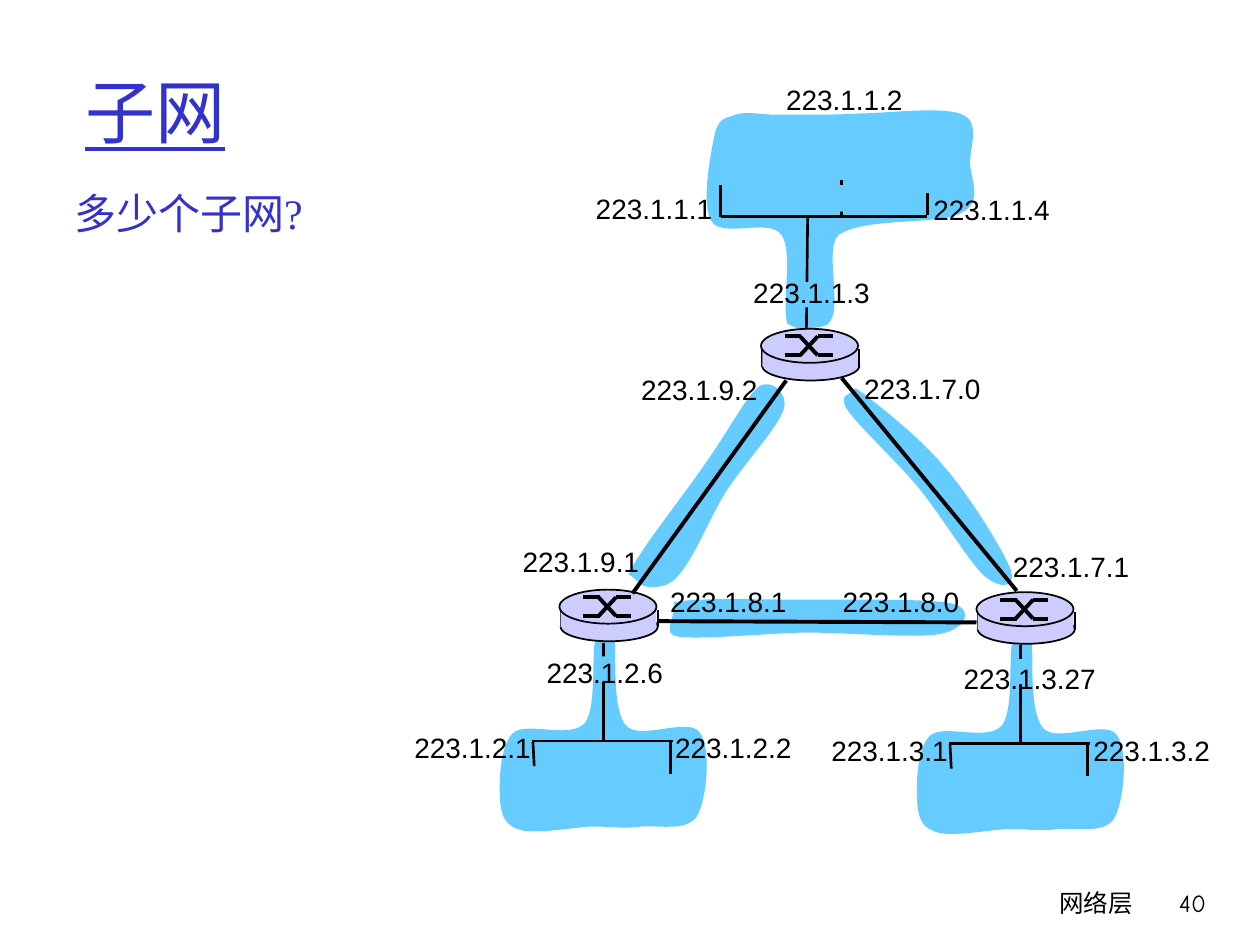
from lxml import etree
from pptx import Presentation
from pptx.dml.color import RGBColor
from pptx.enum.shapes import MSO_CONNECTOR, MSO_SHAPE
from pptx.enum.text import MSO_ANCHOR, MSO_AUTO_SIZE, PP_ALIGN
from pptx.oxml.ns import qn
from pptx.util import Inches, Pt

BLACK = RGBColor(0x00, 0x00, 0x00)
SKY = RGBColor(0x66, 0xCC, 0xFF)
LILAC = RGBColor(0xCC, 0xCC, 0xFF)
INDIGO = RGBColor(0x33, 0x33, 0xCC)
STRAIGHT = MSO_CONNECTOR.STRAIGHT
RECT, OVAL = MSO_SHAPE.RECTANGLE, MSO_SHAPE.OVAL
LEFT, RIGHT = PP_ALIGN.LEFT, PP_ALIGN.RIGHT
TOP, MIDDLE = MSO_ANCHOR.TOP, MSO_ANCHOR.MIDDLE
FIT, NO_FIT = MSO_AUTO_SIZE.SHAPE_TO_FIT_TEXT, MSO_AUTO_SIZE.NONE

ADDRESSES = [
    ("223.1.1.1", 4.63, 1.47), ("223.1.1.2", 6.14, 0.61),
    ("223.1.1.3", 5.88, 2.14), ("223.1.1.4", 7.31, 1.48),
    ("223.1.2.1", 3.19, 5.75), ("223.1.2.2", 5.26, 5.75),
    ("223.1.2.6", 4.24, 5.15), ("223.1.3.1", 6.5, 5.77),
    ("223.1.3.2", 8.58, 5.77), ("223.1.3.27", 7.55, 5.2),
    ("223.1.7.0", 6.76, 2.9), ("223.1.7.1", 7.94, 4.31),
    ("223.1.8.0", 6.59, 4.59), ("223.1.8.1", 5.22, 4.59),
    ("223.1.9.1", 4.05, 4.27), ("223.1.9.2", 4.99, 2.91),
]

LINK_SUBNETS = [
    [(6.7, 3.2), (6.71, 3.29), (7.09, 3.63), (7.28, 3.86),
     (7.47, 4.09), (7.69, 4.46), (7.81, 4.57), (7.94, 4.68), (8.07, 4.67), (8.02, 4.52),
     (7.97, 4.38), (7.7, 3.94), (7.49, 3.7), (7.29, 3.46), (6.92, 3.17), (6.79, 3.08),
     (6.73, 3.16), (6.69, 3.11), (6.7, 3.2)],
    [(5.34, 5.04), (5.42, 5.09), (6.03, 5.03), (6.38, 5.02),
     (6.74, 5.02), (7.27, 5.07), (7.47, 5.03), (7.66, 4.99), (7.74, 4.84), (7.56, 4.79),
     (7.39, 4.75), (6.78, 4.76), (6.41, 4.76), (6.04, 4.76), (5.53, 4.74), (5.35, 4.78),
     (5.37, 4.88), (5.27, 4.99), (5.34, 5.04)],
    [(5.26, 4.65), (5.46, 4.61), (5.61, 4.12), (5.79, 3.86),
     (5.95, 3.63), (6.18, 3.38), (6.22, 3.25), (6.26, 3.12), (6.12, 3), (6.02, 3.07),
     (5.92, 3.15), (5.77, 3.44), (5.59, 3.69), (5.42, 3.94), (5.05, 4.4), (4.99, 4.56),
     (5.08, 4.6), (5.06, 4.69), (5.26, 4.65)],
]
TOP_SUBNET = [
    (6.53, 2.59), (6.73, 2.55), (6.53, 2.01), (6.65, 1.87),
    (6.84, 1.72), (7.45, 1.79), (7.63, 1.69), (7.81, 1.6), (7.7, 1.42), (7.7, 1.29),
    (7.7, 1.16), (7.78, 0.97), (7.64, 0.91), (7.49, 0.84), (7.03, 0.9), (6.83, 0.9),
    (6.64, 0.91), (6.59, 0.91), (6.47, 0.91), (6.36, 0.91), (6.25, 0.91), (6.15, 0.91),
    (6.04, 0.91), (5.92, 0.88), (5.84, 0.91), (5.76, 0.94), (5.7, 0.93), (5.67, 1.08),
    (5.64, 1.22), (5.56, 1.63), (5.65, 1.76), (5.74, 1.89), (6.1, 1.73), (6.2, 1.86),
    (6.3, 1.99), (6.2, 2.44), (6.25, 2.57), (6.34, 2.61), (6.33, 2.63), (6.53, 2.59)]
LEAF_SUBNET = [
    (4.74, 5.06), (4.68, 5.07), (4.75, 5.61), (4.64, 5.74),
    (4.52, 5.87), (4.18, 5.72), (4.07, 5.82), (3.96, 5.93), (3.96, 6.24), (3.97, 6.36),
    (3.98, 6.49), (4.02, 6.56), (4.14, 6.59), (4.26, 6.62), (4.53, 6.57), (4.69, 6.56),
    (4.85, 6.56), (4.95, 6.58), (5.09, 6.56), (5.23, 6.55), (5.45, 6.6), (5.53, 6.48),
    (5.61, 6.35), (5.65, 5.93), (5.55, 5.81), (5.46, 5.69), (5.08, 5.88), (4.97, 5.76),
    (4.86, 5.64), (4.89, 5.22), (4.88, 5.1), (4.86, 4.99), (4.9, 5.09), (4.88, 5.08),
    (4.86, 5.04), (4.81, 5.05), (4.74, 5.06)]

TOP_WIRES = [(7.36, 1.72, 5.72, 1.72), (7.36, 1.71, 7.36, 1.53), (5.72, 1.47, 5.72, 1.72),
             (6.41, 1.73, 6.4, 2.61), (6.68, 1.72, 6.68, 1.43)]
LEAF_WIRES = [(4.79, 5.1, 4.79, 5.88), (5.34, 5.88, 4.22, 5.88),
              (4.24, 6.08, 4.23, 5.89), (5.32, 6.14, 5.32, 5.88)]
TOP_GAPS = [(6.27, 2.24, 0.34, 0.2), (6.62, 1.47, 0.12, 0.21)]
LEAF_GAP = (4.72, 5.21, 0.14, 0.2)
LEAF_OFFSETS = [(0, 0), (3.31, 0.02)]
ROUTERS = [(4.44, 4.68), (7.75, 4.7), (6.04, 2.61)]
ROUTER_LINKS = [(5.02, 4.71, 6.24, 3.02), (8.07, 4.69, 6.68, 3), (7.75, 4.94, 5.23, 4.93)]
CROSS_ARROWS = [(0.19, 0.06, 0.32, 0.06), (0.45, 0.21, 0.57, 0.21), (0.31, 0.06, 0.45, 0.21),
                (0.19, 0.21, 0.32, 0.21), (0.45, 0.06, 0.57, 0.06), (0.31, 0.21, 0.45, 0.06)]


def add_line(shapes, ends, width, dx=0, dy=0):
    x1, y1, x2, y2 = ends
    line = shapes.add_connector(STRAIGHT, Inches(x1 + dx), Inches(y1 + dy),
                                Inches(x2 + dx), Inches(y2 + dy))
    line.line.color.rgb = BLACK
    line.line.width = Pt(width)
    etree.SubElement(line._element.spPr, qn("a:effectLst"))


def paint(shape, color, outline=None):
    shape.shadow.inherit = False
    shape.fill.solid()
    shape.fill.fore_color.rgb = color
    if outline:
        shape.line.color.rgb = BLACK
        shape.line.width = Pt(outline)
    else:
        shape.line.fill.background()


def add_preset(shapes, kind, box, color, outline=None, dx=0, dy=0):
    x, y, w, h = box
    paint(shapes.add_shape(kind, Inches(x + dx), Inches(y + dy), Inches(w), Inches(h)),
          color, outline)


def add_subnet(shapes, points, dx=0, dy=0):
    moved = [(Inches(x + dx), Inches(y + dy)) for x, y in points]
    builder = shapes.build_freeform(*moved[0])
    builder.add_line_segments(moved[1:], close=True)
    subnet = builder.convert_to_shape()
    segments = list(subnet._element.iter(qn("a:lnTo")))
    for start in range(0, len(points) - 1, 3):
        curve = etree.Element(qn("a:cubicBezTo"))
        segments[start].addprevious(curve)
        for segment in segments[start:start + 3]:
            curve.append(segment[0])
            segment.getparent().remove(segment)
    paint(subnet, SKY)


def add_router(shapes, x, y):
    router = shapes.add_group_shape().shapes
    add_preset(router, OVAL, (0.01, 0.18, 0.77, 0.23), LILAC, 1, x, y)
    for side in (0.01, 0.78):
        add_line(router, (side, 0.16, side, 0.3), 1, x, y)
    add_preset(router, RECT, (0.01, 0.16, 0.76, 0.14), LILAC, None, x, y)
    add_preset(router, OVAL, (0, 0, 0.77, 0.27), LILAC, 1, x, y)
    for arrow in CROSS_ARROWS:
        add_line(router, arrow, 2.25, x, y)


def add_text(shapes, words, box, font, size, color, align=LEFT, anchor=TOP,
             wrap=True, underline=False):
    text_box = shapes.add_textbox(*map(Inches, box))
    frame = text_box.text_frame
    frame.word_wrap = wrap
    frame.auto_size = NO_FIT if wrap else FIT
    frame.vertical_anchor = anchor
    paragraph = frame.paragraphs[0]
    paragraph.alignment = align
    run = paragraph.add_run()
    run.text = words
    run.font.name = font
    run.font.size = Pt(size)
    run.font.color.rgb = color
    if underline:
        run.font.underline = True


def main():
    deck = Presentation()
    deck.slide_width, deck.slide_height = Inches(10), Inches(7.5)
    shapes = deck.slides.add_slide(deck.slide_layouts[6]).shapes

    add_text(shapes, "网络层", (5.92, 7, 3.17, 0.5), "Comic Neue", 14, BLACK, RIGHT)
    add_text(shapes, "40", (8.93, 7, 0.74, 0.5), "Comic Neue", 14, BLACK, RIGHT)
    add_text(shapes, "子网", (0.58, 0.25, 8.5, 1.25), "Times New Roman", 40, INDIGO,
             anchor=MIDDLE, underline=True)
    add_text(shapes, "多少个子网?", (0.49, 1.44, 4.04, 5.08), "Times New Roman", 24, INDIGO)

    for points in LINK_SUBNETS + [TOP_SUBNET]:
        add_subnet(shapes, points)
    for wire in TOP_WIRES:
        add_line(shapes, wire, 1.5)
    for gap in TOP_GAPS:
        add_preset(shapes, RECT, gap, SKY)
    for dx, dy in LEAF_OFFSETS:
        add_subnet(shapes, LEAF_SUBNET, dx, dy)
        for wire in LEAF_WIRES:
            add_line(shapes, wire, 1.5, dx, dy)
        add_preset(shapes, RECT, LEAF_GAP, SKY, None, dx, dy)
    for x, y in ROUTERS:
        add_router(shapes, x, y)
    for link in ROUTER_LINKS:
        add_line(shapes, link, 2.25)
    for address, x, y in ADDRESSES:
        width = 1.13 if len(address) == 9 else 1.25
        add_text(shapes, address, (x, y, width, 0.37), "Arial", 16, BLACK, wrap=False)

    deck.save("out.pptx")


if __name__ == "__main__":
    main()
